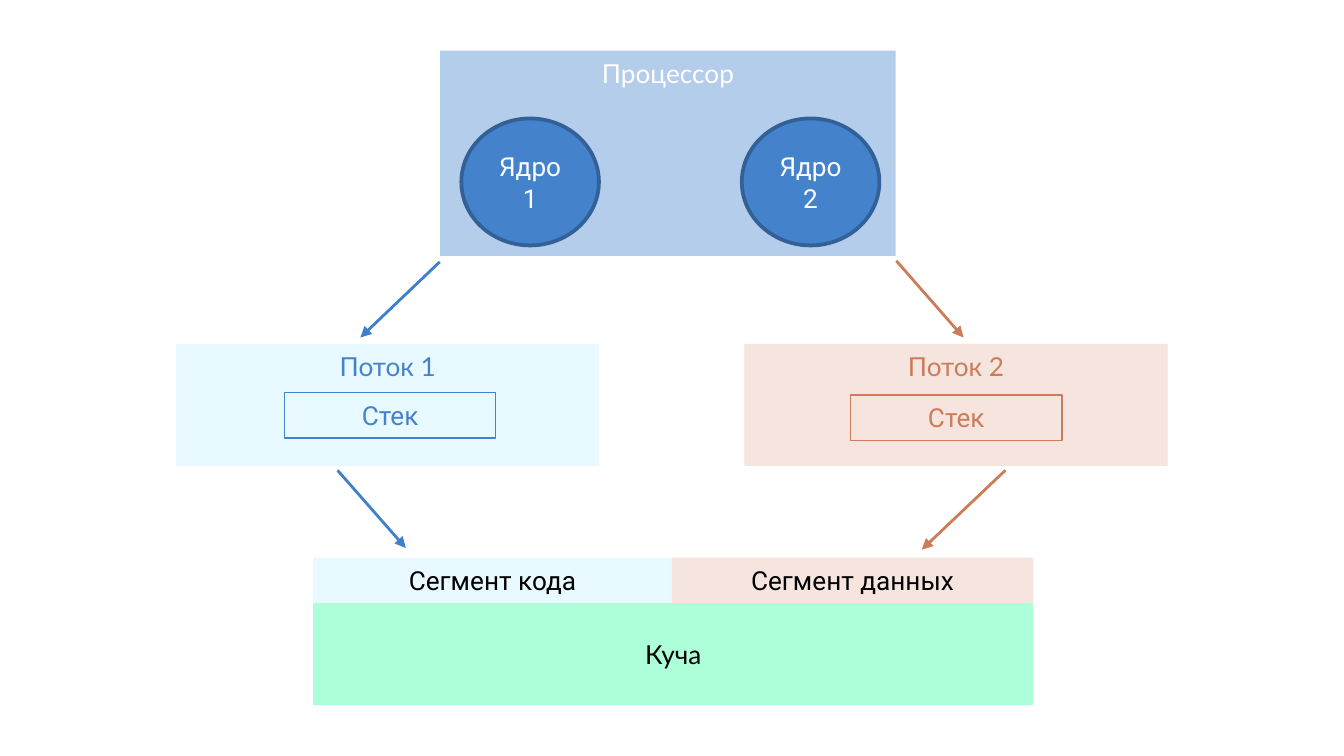
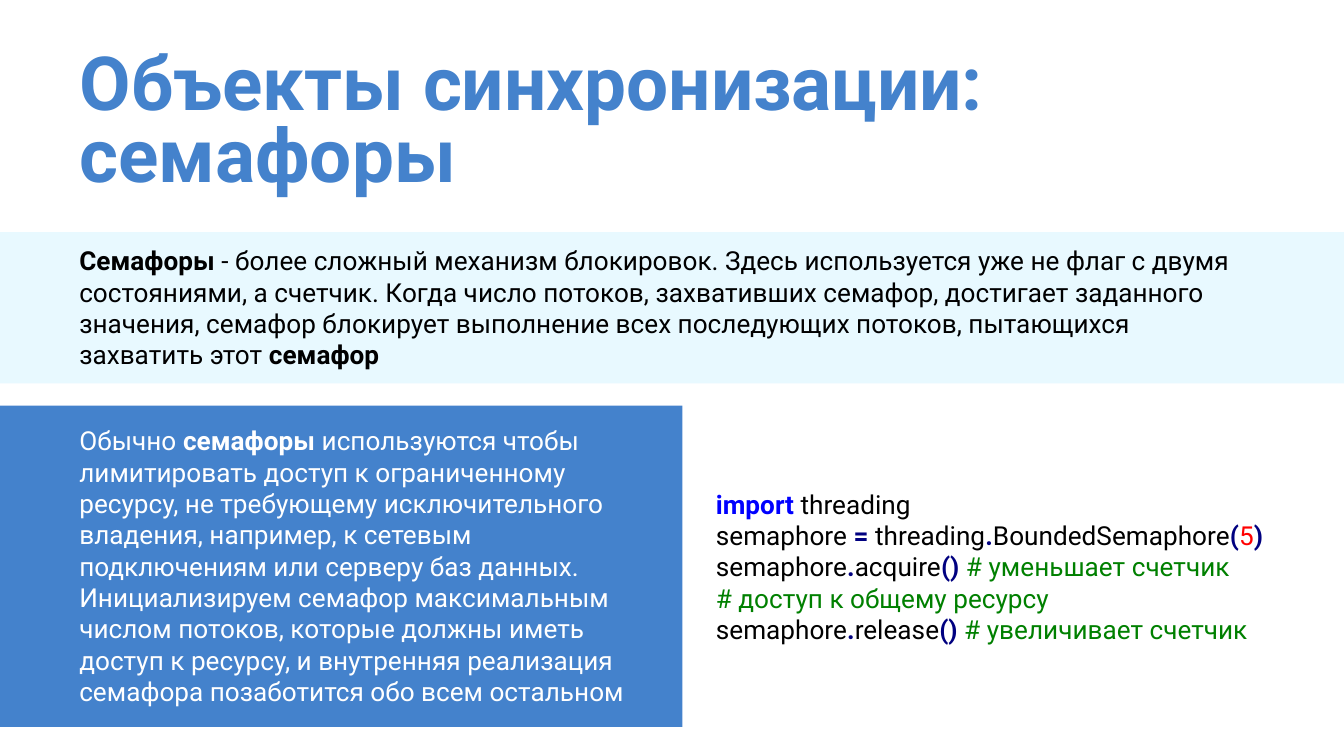
from dataclasses import dataclass

from lxml import etree
from pptx import Presentation
from pptx.dml.color import RGBColor
from pptx.enum.shapes import MSO_CONNECTOR, MSO_SHAPE
from pptx.enum.text import MSO_ANCHOR, MSO_AUTO_SIZE, PP_ALIGN
from pptx.oxml.ns import qn
from pptx.util import Cm, Pt

RECT, OVAL = MSO_SHAPE.RECTANGLE, MSO_SHAPE.OVAL
STRAIGHT = MSO_CONNECTOR.STRAIGHT
TOP, MIDDLE = MSO_ANCHOR.TOP, MSO_ANCHOR.MIDDLE
LEFT, CENTER = PP_ALIGN.LEFT, PP_ALIGN.CENTER
FIXED, GROW = MSO_AUTO_SIZE.NONE, MSO_AUTO_SIZE.SHAPE_TO_FIT_TEXT
TITLE_ONLY, BLANK = 5, 6


@dataclass(frozen=True)
class Theme:
    blue: str = "4482CC"
    arrow_blue: str = "3F7FCB"
    dark_blue: str = "326097"
    soft_blue: str = "B4CDEB"
    pale_blue: str = "E8F9FF"
    orange: str = "CC7C58"
    pale_orange: str = "F5E5DE"
    green: str = "ACFFD9"
    white: str = "FFFFFF"
    black: str = "000000"
    keyword: str = "0000FF"
    operator: str = "000080"
    number: str = "FF0000"
    comment: str = "008000"
    font: str = "Roboto"
    label_font: str = "Lato"
    title_size: int = 40
    body_size: int = 14


class Deck:
    def __init__(self, theme):
        self.theme = theme
        self.prs = Presentation()
        self.prs.slide_width, self.prs.slide_height = Cm(25.4), Cm(14.29)
        self.slide = None

    def add_slide(self, layout):
        self.slide = self.prs.slides.add_slide(self.prs.slide_layouts[layout])

    def style(self, run, color, bold=False, font=None, size=None):
        run.font.name = font or self.theme.font
        run.font.size = Pt(size or self.theme.body_size)
        run.font.bold = bold
        run.font.color.rgb = RGBColor.from_string(color)

    def title(self, text, box):
        title = self.slide.shapes.title
        title.left, title.top, title.width, title.height = map(Cm, box)
        frame = title.text_frame
        frame.text = text
        frame.auto_size = FIXED
        frame.vertical_anchor = TOP
        frame.margin_top = frame.margin_bottom = Cm(0.25)
        paragraph = frame.paragraphs[0]
        paragraph.alignment = LEFT
        paragraph.line_spacing = 0.8
        self.style(paragraph.runs[0], self.theme.blue, True, size=self.theme.title_size)

    def label(self, shape, text, color, font=None, anchor=TOP, size_rule=FIXED):
        frame = shape.text_frame
        frame.text = text
        frame.auto_size = size_rule
        frame.vertical_anchor = anchor
        paragraph = frame.paragraphs[0]
        paragraph.alignment = CENTER
        self.style(paragraph.runs[0], color, font=font)

    def block(self, box, fill=None, line=None, width=0.75, kind=RECT):
        shape = self.slide.shapes.add_shape(kind, *map(Cm, box))
        shape.shadow.inherit = False
        if fill:
            shape.fill.solid()
            shape.fill.fore_color.rgb = RGBColor.from_string(fill)
        else:
            shape.fill.background()
        if line:
            shape.line.color.rgb = RGBColor.from_string(line)
            shape.line.width = Pt(width)
        else:
            shape.line.fill.background()
        return shape

    def caption(self, text, box):
        """Centred one-line text that does not wrap."""
        shape = self.slide.shapes.add_textbox(*map(Cm, box))
        self.label(shape, text, self.theme.black, self.theme.label_font, size_rule=GROW)
        shape.text_frame.word_wrap = False

    def rich_text(self, box, paragraphs):
        """Each paragraph is a list of (text, colour, bold) pieces."""
        frame = self.slide.shapes.add_textbox(*map(Cm, box)).text_frame
        frame.word_wrap = True
        frame.auto_size = GROW
        for index, pieces in enumerate(paragraphs):
            paragraph = frame.add_paragraph() if index else frame.paragraphs[0]
            for text, color, bold in pieces:
                run = paragraph.add_run()
                run.text = text
                self.style(run, color, bold)

    def arrow(self, start, end, color):
        connector = self.slide.shapes.add_connector(STRAIGHT, *map(Cm, start + end))
        connector.line.color.rgb = RGBColor.from_string(color)
        connector.line.width = Pt(1.5)
        etree.SubElement(connector.line._get_or_add_ln(), qn("a:tailEnd"), type="triangle")
        etree.SubElement(connector._element.spPr, qn("a:effectLst"))


def memory_slide(deck):
    theme = deck.theme
    deck.add_slide(BLANK)

    threads = [("Поток 1", 3.33, theme.pale_blue, theme.blue),
               ("Поток 2", 14.07, theme.pale_orange, theme.orange)]
    for name, left, fill, color in threads:
        thread = deck.block((left, 6.5, 8, 2.31), fill)
        deck.label(thread, name, color, theme.label_font)

    segments = [("Сегмент кода", 5.92, 6.78, theme.pale_blue),
                ("Сегмент данных", 12.7, 6.83, theme.pale_orange)]
    for name, left, width, fill in segments:
        segment = deck.block((left, 10.54, width, 0.86), fill)
        deck.label(segment, name, theme.black, size_rule=GROW)

    for left, top, color in [(5.38, 7.42, theme.blue), (16.08, 7.47, theme.orange)]:
        stack = deck.block((left, top, 3.99, 0.86), line=color)
        deck.label(stack, "Стек", color, size_rule=GROW)

    deck.block((5.92, 11.4, 13.6, 1.93), theme.green)

    processor = deck.block((8.32, 0.96, 8.61, 3.88), theme.soft_blue)
    deck.label(processor, "Процессор", theme.white, theme.label_font)
    for number, left in enumerate((8.72, 14.02), 1):
        core = deck.block((left, 2.24, 2.6, 2.4), theme.blue, theme.dark_blue, 2, OVAL)
        deck.label(core, f"Ядро {number}", theme.white, anchor=MIDDLE)

    deck.arrow((8.31, 4.95), (6.81, 6.38), theme.arrow_blue)
    deck.arrow((16.94, 4.93), (18.21, 6.38), theme.orange)
    deck.arrow((6.38, 8.89), (7.67, 10.36), theme.arrow_blue)
    deck.arrow((19, 8.89), (17.42, 10.39), theme.orange)

    deck.caption("Куча", (11.91, 11.94, 1.63, 0.86))


def semaphore_slide(deck):
    theme = deck.theme
    margin, text_width = 1.25, 22.55
    deck.add_slide(TITLE_ONLY)

    deck.block((0, 7.67, 12.9, 6.07), theme.blue)
    deck.title("Объекты синхронизации: семафоры", (margin, 0.76, text_width, 1.93))
    deck.block((0, 4.39, 25.4, 2.86), theme.pale_blue)

    definition = [
        ("Семафоры", theme.black, True),
        (" - более сложный механизм блокировок. Здесь используется уже не флаг "
         "с двумя состояниями, а счетчик. Когда число потоков, захвативших семафор, "
         "достигает заданного значения, семафор блокирует выполнение всех последующих "
         "потоков, пытающихся захватить этот ", theme.black, False),
        ("семафор", theme.black, True),
    ]
    deck.rich_text((margin, 4.5, text_width, 2.64), [definition])

    usage = [
        ("Обычно ", theme.white, False),
        ("семафоры", theme.white, True),
        (" используются чтобы лимитировать доступ к ограниченному ресурсу, "
         "не требующему исключительного владения, например, к сетевым подключениям "
         "или серверу баз данных. Инициализируем семафор максимальным числом потоков, "
         "которые должны иметь доступ к ресурсу, и внутренняя реализация семафора "
         "позаботится обо всем остальном", theme.white, False),
    ]
    deck.rich_text((margin, 7.9, 11.07, 5.64), [usage])

    def name(text):
        return text, theme.black, False

    def operator(text):
        return text, theme.operator, True

    def comment(text):
        return text, theme.comment, False

    def call(method, note):
        return [name("semaphore"), operator("."), name(method), operator("() "), comment(note)]

    code = [
        [("import", theme.keyword, True), name(" threading")],
        [name("semaphore "), operator("= "), name("threading"), operator("."),
         name("BoundedSemaphore"), operator("("), ("5", theme.number, False), operator(")")],
        call("acquire", "# уменьшает счетчик"),
        [comment("# доступ к общему ресурсу")],
        call("release", "# увеличивает счетчик"),
    ]
    deck.rich_text((13.28, 9.1, 11.6, 3.25), code)


def main():
    deck = Deck(Theme())
    memory_slide(deck)
    semaphore_slide(deck)
    deck.prs.save("out.pptx")


if __name__ == "__main__":
    main()
